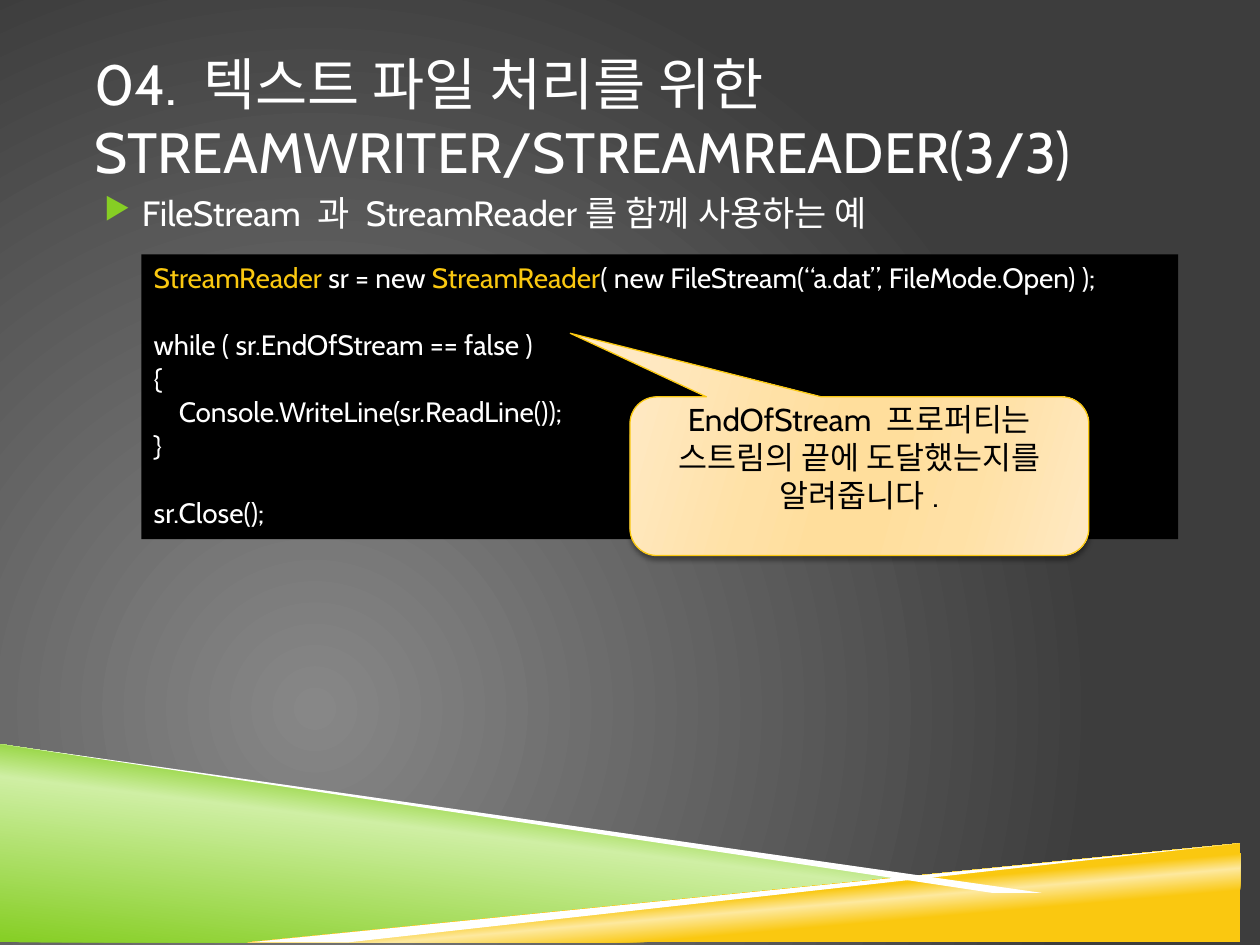
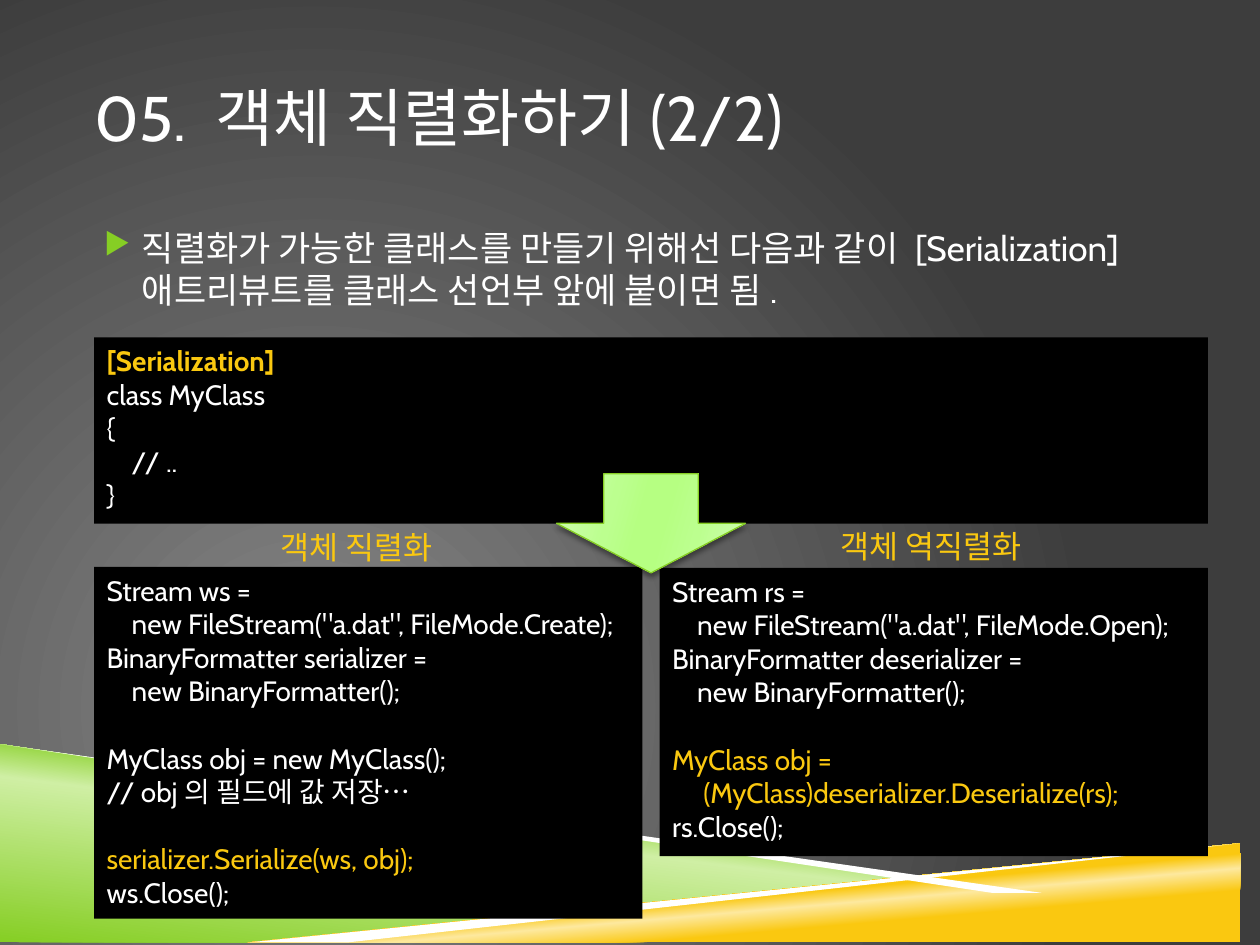
from pptx import Presentation
from pptx.dml.color import RGBColor
from pptx.enum.shapes import MSO_SHAPE
from pptx.enum.text import MSO_ANCHOR, PP_ALIGN
from pptx.oxml import parse_xml
from pptx.oxml.ns import nsdecls
from pptx.util import Cm, Pt

COLOURS = {
    "white": "FFFFFF", "black": "000000", "green": "86CE24", "yellow": "FAC810",
}
GRADIENTS = {
    "backdrop": [(0, "878787"), (100, "3D3D3D")],
    "green band": [(0, "86CE24"), (52, "CFEFA4"), (66, "86CE24")],
    "yellow band": [(28, "FAC810"), (40, "FDE99F"), (48, "FAC810")],
    "callout": [(0, "FFE9C3"), (30, "FFE1A6"), (45, "FFDE9C"),
                (55, "FFDE9C"), (73, "FFE1A6"), (100, "FFE9C3")],
    "arrow": [(0, "D0FDB3"), (30, "BCFF8F"), (45, "B6FF82"),
              (55, "B6FF82"), (73, "BCFF8F"), (100, "D0FDB3")],
}
BANDS = [
    ("green band", 277, [(0, 15.16), (20.12, 17.58), (5.08, 19.05), (0, 19.05)]),
    ("yellow band", 265, [(5.03, 19.05), (25.4, 17.07), (25.4, 19.05)]),
    ("white", None, [(0, 15.04), (0, 15.24), (20.07, 17.6), (21.13, 17.53)]),
    ("white", None, [(25.4, 16.99), (4.67, 19.05), (6.76, 19.05), (25.4, 17.2)]),
]
CODE_LINE = Pt(19.2)
LEFT = 1.9


def colour(name):
    return RGBColor.from_string(COLOURS[name])


def accent(text, bold=False):
    return text, "yellow", bold


class SlideBuilder:
    font = "Cabin"

    def __init__(self, deck):
        self.deck = deck
        self.page = None

    def start_page(self, title, title_size):
        self.page = self.deck.slides.add_slide(self.deck.slide_layouts[6])
        self.page.background.fill.solid()
        self.gradient(self.page.element, "backdrop",
                      '<a:path path="circle"><a:fillToRect l="50000" t="100000" '
                      'r="100000" b="50000"/></a:path>')
        for fill, angle, points in BANDS:
            self.band(fill, angle, points)
        box = self.text_box(LEFT, 0.76, 21.6, 3.18)
        box.text_frame.vertical_anchor = MSO_ANCHOR.MIDDLE
        self.add_text(box, [title], title_size)

    def gradient(self, element, name, direction):
        stops = "".join(f'<a:gs pos="{position * 1000}"><a:srgbClr val="{value}"/></a:gs>'
                        for position, value in GRADIENTS[name])
        solid = element.xpath(".//a:solidFill")[0]
        solid.getparent().replace(solid, parse_xml(
            f'<a:gradFill {nsdecls("a")} rotWithShape="1"><a:gsLst>{stops}</a:gsLst>'
            f'{direction}</a:gradFill>'))

    def paint(self, shape, fill, angle=None):
        shape.shadow.inherit = False
        shape.line.fill.background()
        shape.fill.solid()
        if angle is None:
            shape.fill.fore_color.rgb = colour(fill)
        else:
            self.gradient(shape.element.spPr, fill,
                          f'<a:lin ang="{angle * 60000}" scaled="0"/>')

    def band(self, fill, angle, points):
        builder = self.page.shapes.build_freeform(*points[0], scale=Cm(1))
        builder.add_line_segments(points[1:], close=True)
        self.paint(builder.convert_to_shape(), fill, angle)

    def shape(self, kind, frame, fill, angle=None):
        shape = self.page.shapes.add_shape(kind, *map(Cm, frame))
        self.paint(shape, fill, angle)
        return shape

    def raised_shape(self, kind, frame, fill, outline):
        shape = self.shape(kind, frame, fill, 16)
        shape.line.color.rgb = colour(outline)
        shape.line.width = Pt(0.75)
        shape.element.spPr.xpath("a:effectLst")[0].append(parse_xml(
            f'<a:outerShdw {nsdecls("a")} blurRad="{Pt(3)}" dist="{Pt(2)}" dir="5400000" '
            'rotWithShape="0"><a:srgbClr val="000000"><a:alpha val="40000"/></a:srgbClr>'
            '</a:outerShdw>'))
        return shape

    def text_box(self, *frame):
        box = self.page.shapes.add_textbox(*map(Cm, frame))
        box.text_frame.word_wrap = True
        box.text_frame.margin_left = box.text_frame.margin_right = 0
        return box

    def add_text(self, shape, lines, size, base="white", align=PP_ALIGN.LEFT):
        text_frame = shape.text_frame
        para = text_frame.paragraphs[0]
        gap = False
        for index, line in enumerate(lines):
            if line is None:
                gap = True
                continue
            if index:
                para = text_frame.add_paragraph()
            para.alignment = align
            if gap:
                para.space_before = CODE_LINE
                gap = False
            for part in line if isinstance(line, list) else [line]:
                text, shade, bold = (part, base, False) if isinstance(part, str) else part
                span = para.add_run()
                span.text = text
                span.font.name = self.font
                span.font.size = Pt(size)
                span.font.bold = bold
                span.font.color.rgb = colour(shade)

    def bullet(self, top, text):
        box = self.text_box(LEFT, top, 21.6, 11.28)
        properties = box.text_frame.paragraphs[0]._p.get_or_add_pPr()
        properties.set("marL", str(Cm(0.96)))
        properties.set("indent", str(Cm(-0.76)))
        for tag in (f'<a:buClr {nsdecls("a")}><a:srgbClr val="{COLOURS["green"]}"/></a:buClr>',
                    f'<a:buSzPct {nsdecls("a")} val="85000"/>',
                    f'<a:buChar {nsdecls("a")} char="▶"/>'):
            properties.append(parse_xml(tag))
        self.add_text(box, [text], 20)

    def code(self, frame, lines):
        panel = self.shape(MSO_SHAPE.RECTANGLE, frame, "black")
        panel.text_frame.vertical_anchor = MSO_ANCHOR.TOP
        panel.text_frame.word_wrap = True
        self.add_text(panel, lines, 16)

    def label(self, frame, text):
        box = self.page.shapes.add_textbox(*map(Cm, frame))
        box.text_frame.word_wrap = False
        self.add_text(box, [text], 18, "yellow")

    def callout(self, frame, adjustments, text):
        bubble = self.raised_shape(MSO_SHAPE.ROUNDED_RECTANGULAR_CALLOUT, frame,
                                   "callout", "yellow")
        for index, value in enumerate(adjustments):
            bubble.adjustments[index] = value
        bubble.text_frame.word_wrap = True
        bubble.text_frame.vertical_anchor = MSO_ANCHOR.MIDDLE
        bubble.text_frame.margin_bottom = Cm(0.89)
        self.add_text(bubble, [text], 18, "black", PP_ALIGN.CENTER)

    def down_arrow(self, frame):
        self.raised_shape(MSO_SHAPE.DOWN_ARROW, frame, "arrow", "green")


def add_stream_reader_page(builder):
    builder.start_page("04. 텍스트 파일 처리를 위한 STREAMWRITER/STREAMREADER(3/3)", 32.4)
    builder.bullet(3.73, "FileStream 과 StreamReader를 함께 사용하는 예")
    builder.code((2.85, 5.13, 20.9, 5.74), [
        [accent("StreamReader "), "sr = new ", accent("StreamReader"),
         "( new FileStream(“a.dat”, FileMode.Open) );"],
        None,
        "while ( sr.EndOfStream == false )",
        "{",
        "    Console.WriteLine(sr.ReadLine());",
        "}",
        None,
        "sr.Close();",
    ])
    builder.callout((12.7, 8, 9.25, 3.2), (-0.63, -0.9, 0.17),
                    "EndOfStream 프로퍼티는 스트림의 끝에 도달했는지를 알려줍니다.")


def add_serialization_page(builder):
    builder.start_page("05. 객체 직렬화하기(2/2)", 36)
    builder.bullet(4.45, "직렬화가 가능한 클래스를 만들기 위해선 다음과 같이 [Serialization] "
                         "애트리뷰트를 클래스 선언부 앞에 붙이면 됨.")
    builder.code((LEFT, 6.8, 22.45, 3.76), [
        accent("[Serialization]", bold=True),
        "class MyClass",
        "{",
        "    // ..",
        "}",
    ])
    builder.code((LEFT, 11.43, 11.05, 7.09), [
        "Stream ws =",
        "    new FileStream(\"a.dat\", FileMode.Create);",
        "BinaryFormatter serializer =",
        "    new BinaryFormatter();",
        None,
        "MyClass obj = new MyClass();",
        "// obj의 필드에 값 저장…",
        None,
        accent("serializer.Serialize(ws, obj);"),
        "ws.Close();",
    ])
    builder.code((13.3, 11.45, 11.05, 5.81), [
        "Stream rs =",
        "    new FileStream(\"a.dat\", FileMode.Open);",
        "BinaryFormatter deserializer =",
        "    new BinaryFormatter();",
        None,
        accent("MyClass obj ="),
        accent("     (MyClass)deserializer.Deserialize(rs);"),
        "rs.Close();",
    ])
    builder.label((5.4, 10.52, 3.89, 1.02), "객체 직렬화")
    builder.label((16.69, 10.5, 4.55, 1.02), "객체 역직렬화")
    builder.down_arrow((11.22, 9.55, 3.81, 2))


def main():
    deck = Presentation()
    deck.slide_width, deck.slide_height = Cm(25.4), Cm(19.05)
    builder = SlideBuilder(deck)
    add_stream_reader_page(builder)
    add_serialization_page(builder)
    deck.save("out.pptx")


if __name__ == "__main__":
    main()
